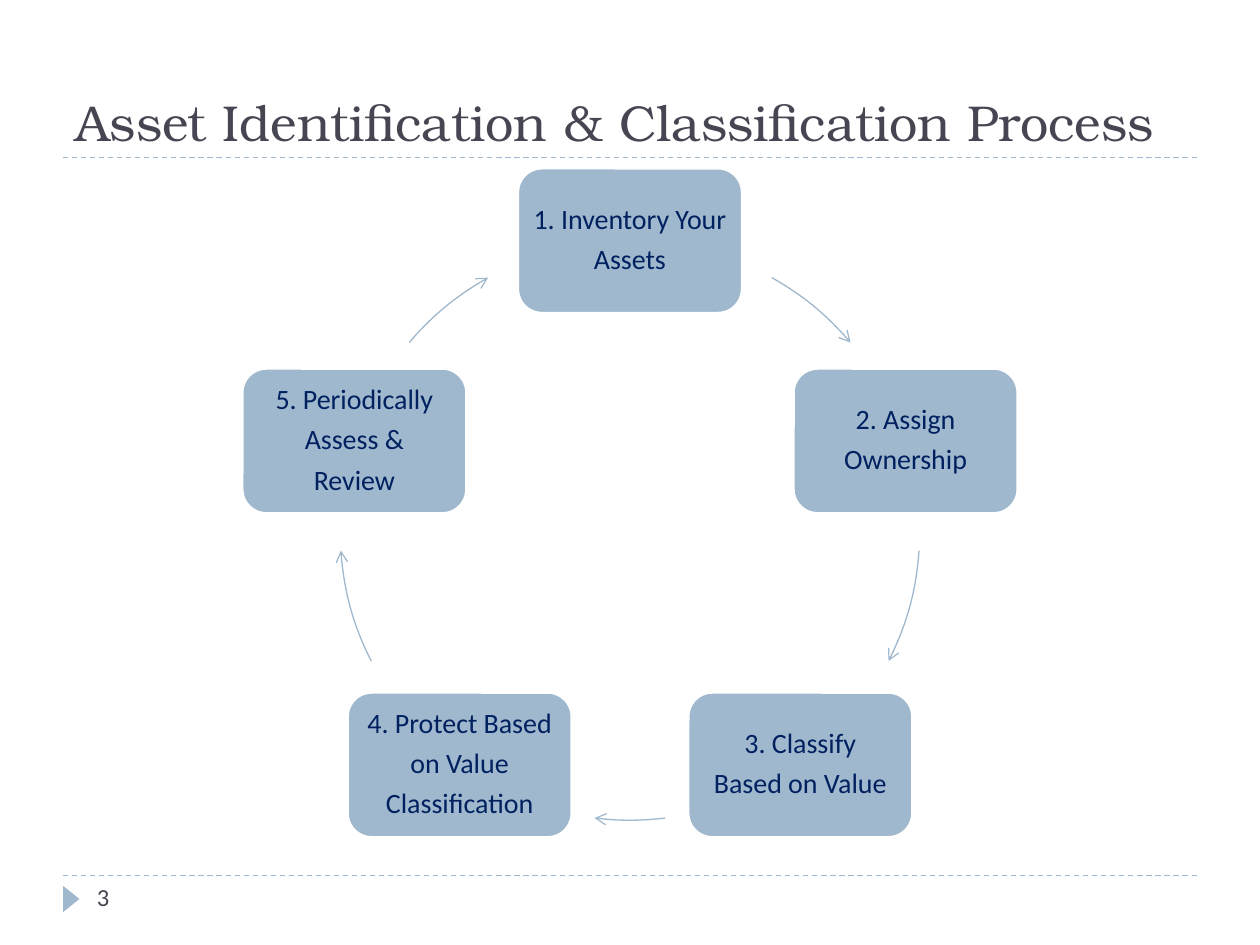
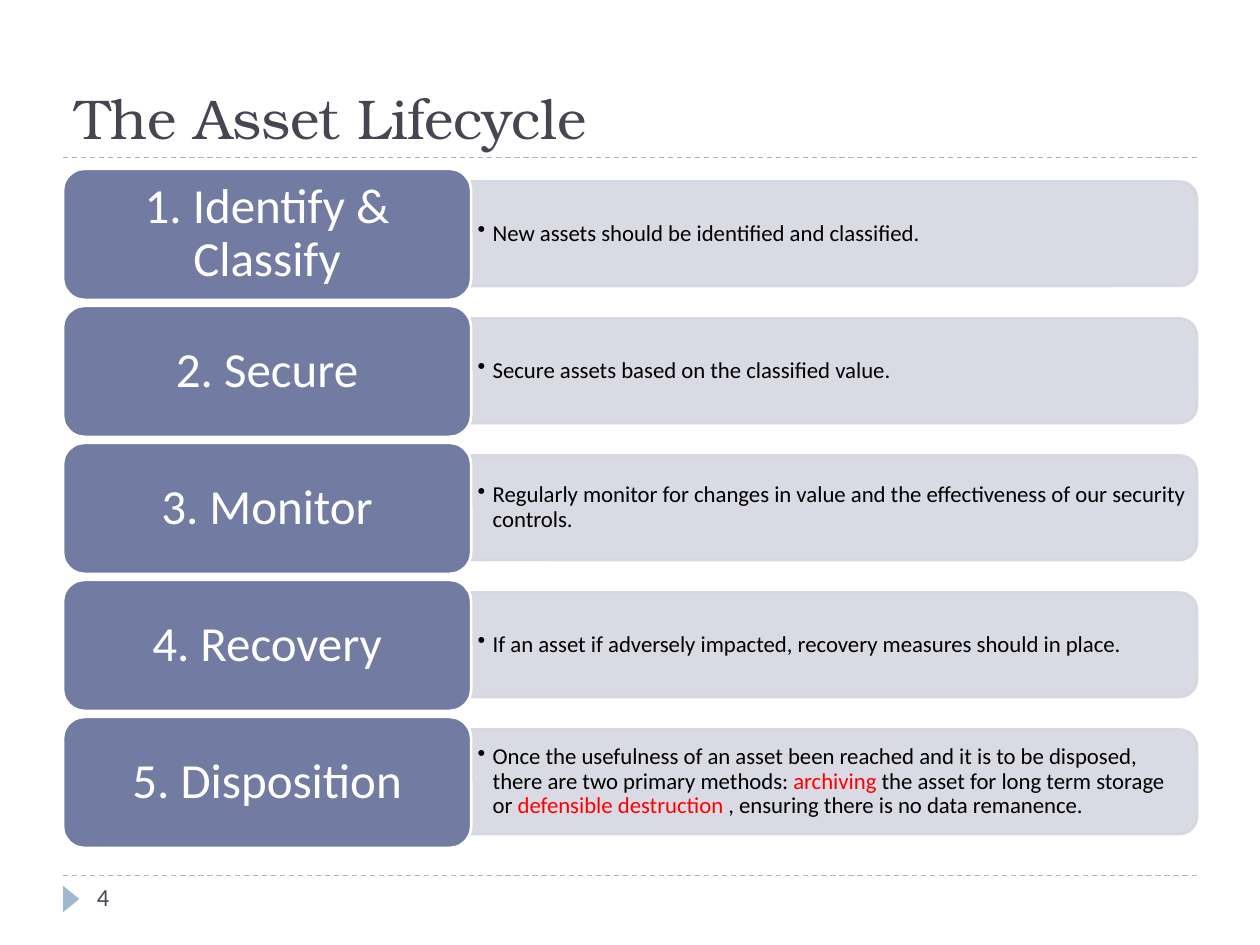
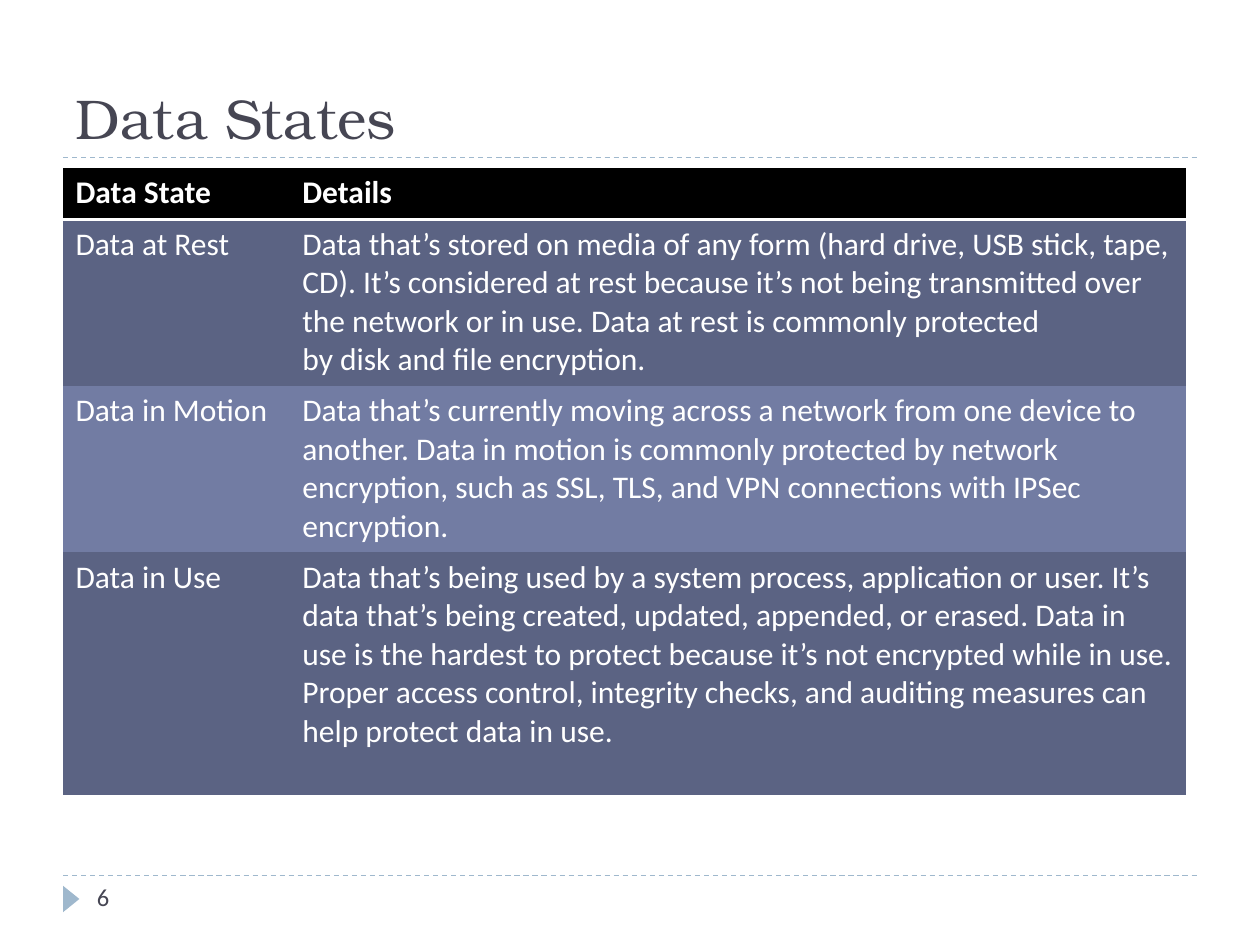
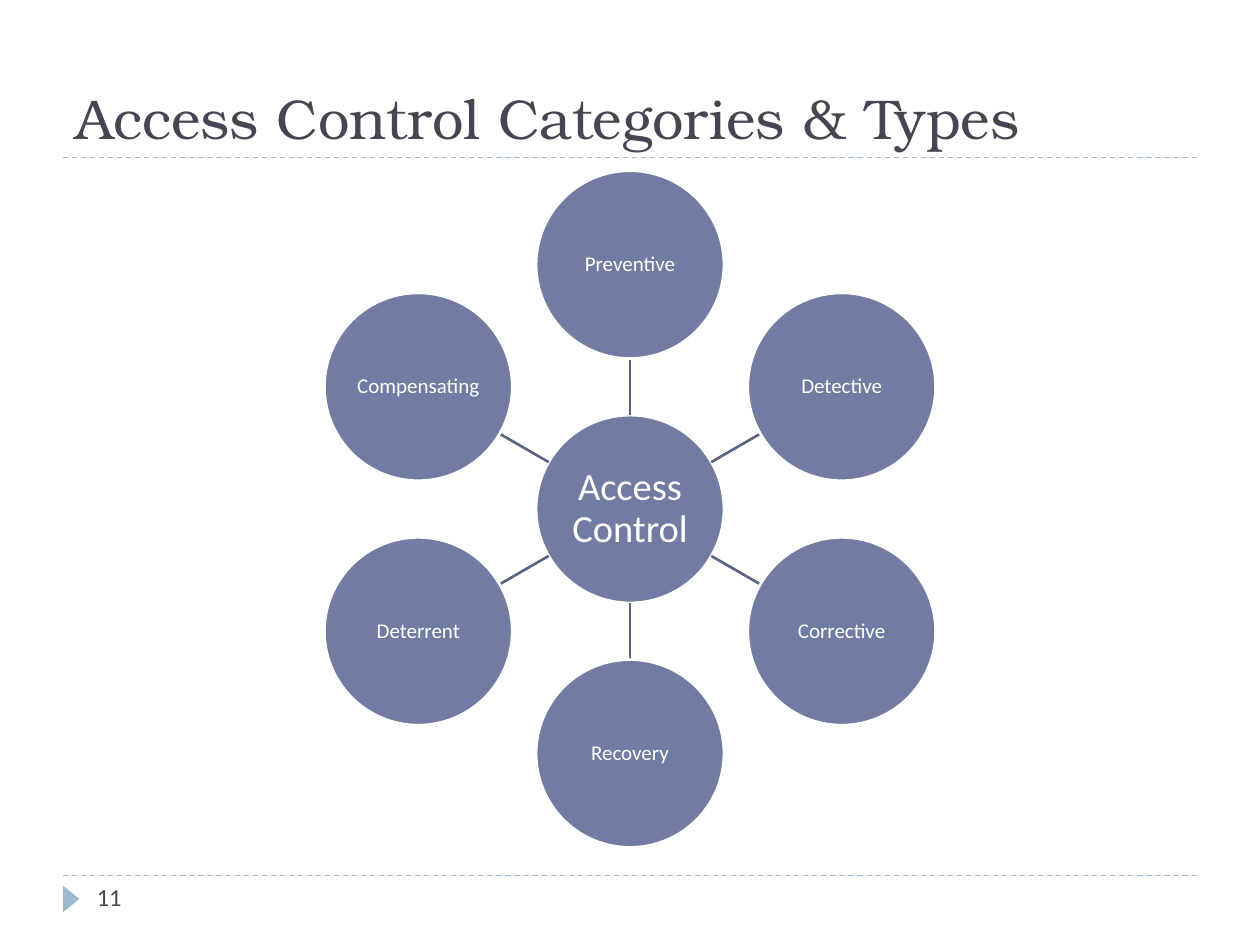
import math

import lxml.etree
import pptx
import pptx.dml.color
import pptx.enum.dml
import pptx.enum.shapes
import pptx.enum.text
import pptx.oxml.ns
import pptx.util

Inches = pptx.util.Inches
Pt = pptx.util.Pt
Shape = pptx.enum.shapes.MSO_SHAPE
Align = pptx.enum.text.PP_ALIGN
Anchor = pptx.enum.text.MSO_ANCHOR
qn = pptx.oxml.ns.qn

INK, NAVY, BLACK, WHITE, RED = "464653", "002060", "000000", "FFFFFF", "FF0000"
SKY, SLATE, DEEP, MIST = "9FB8CD", "727CA3", "5B6383", "D5D7E0"
BODY, HEADING = "Calibri", "TeX Gyre Bonum"
NO_GRID = "{2D5ABB26-0587-4C30-8999-92F81FD0307C}"


def rgb(code):
    return pptx.dml.color.RGBColor.from_string(code)


def add_xml(parent, tag, **attributes):
    return lxml.etree.SubElement(parent, qn(tag), attributes)


def on_circle(center, radius, degrees):
    angle = math.radians(degrees)
    return center[0] + radius * math.sin(angle), center[1] - radius * math.cos(angle)


class Deck:
    """Hold the shared style and the current slide, and draw elements on it."""

    def __init__(self):
        self.show = pptx.Presentation()
        self.show.slide_width, self.show.slide_height = Inches(10), Inches(7.5)
        self.layout = self.show.slide_layouts[5]
        self.slide = None

    def new_slide(self, heading, number, size=32):
        self.slide = self.show.slides.add_slide(self.layout)
        if len(self.show.slides) == 1:
            self.furnish_layout()
        title = self.slide.shapes.title
        title.left, title.top = Inches(0.5), Inches(0.17)
        title.width, title.height = Inches(9), Inches(1.08)
        self.set_text(title.text_frame, [[(heading, INK)]], size, font=HEADING,
                      align=Align.LEFT, anchor=Anchor.BOTTOM, inset=(0.1, 0.05))
        self.text((0.67, 6.95, 2.17, 0.4), [[(str(number), INK)]], 14,
                  anchor=Anchor.TOP, inset=(0.1, 0.05))

    def furnish_layout(self):
        rules = [self.line((0.5, y), (9.5, y), SKY, 0.75, dashed=True) for y in (6.95, 1.25)]
        marker = self.shape(Shape.ISOSCELES_TRIANGLE, (0.46, 7.07, 0.21, 0.13), SKY, turn=90)
        for shape_id, part in enumerate(rules + [marker], start=101):
            part.element.xpath(".//p:cNvPr")[0].set("id", str(shape_id))
            self.layout.shapes.element.append(part.element)

    def set_text(self, frame, lines, size, font=BODY, bold=False, align=None,
                 anchor=Anchor.MIDDLE, inset=(0.07, 0.07), leading=None, after=0):
        frame.word_wrap = True
        frame.auto_size = pptx.enum.text.MSO_AUTO_SIZE.NONE
        frame.vertical_anchor = anchor
        frame.margin_left = frame.margin_right = Inches(inset[0])
        frame.margin_top = frame.margin_bottom = Inches(inset[1])
        self.fill_lines(frame, lines, size, font, bold, align, leading, after)

    def fill_lines(self, frame, lines, size, font=BODY, bold=False, align=None,
                   leading=None, after=0):
        for index, line in enumerate(lines):
            paragraph = frame.add_paragraph() if index else frame.paragraphs[0]
            paragraph.alignment = align
            paragraph.line_spacing = leading
            paragraph.space_after = Pt(after)
            for words, color in line:
                run = paragraph.add_run()
                run.text = words
                run.font.name, run.font.size, run.font.bold = font, Pt(size), bold
                run.font.color.rgb = rgb(color)

    def text(self, box, lines, size, **style):
        note = self.slide.shapes.add_textbox(*map(Inches, box))
        self.set_text(note.text_frame, lines, size, **style)
        return note

    def bullet(self, box, runs, size):
        note = self.text(box, [runs], size, inset=(0.05, 0.03), leading=0.9, after=size * 0.15)
        properties = note.text_frame.paragraphs[0]._p.get_or_add_pPr()
        properties.set("marL", str(Inches(0.12)))
        properties.set("indent", str(Inches(-0.12)))
        add_xml(properties, "a:buChar", char="•")

    def shape(self, preset, box, fill=None, outline=None, width=1.5, turn=0):
        item = self.slide.shapes.add_shape(preset, *map(Inches, box))
        item.shadow.inherit = False
        item.rotation = turn
        if fill:
            item.fill.solid()
            item.fill.fore_color.rgb = rgb(fill)
        else:
            item.fill.background()
        if outline:
            item.line.color.rgb = rgb(outline)
            item.line.width = Pt(width)
        else:
            item.line.fill.background()
        return item

    def card(self, preset, box, fill, lines, size, color, inset):
        item = self.shape(preset, box, fill, WHITE)
        self.set_text(item.text_frame, [[(line, color)] for line in lines], size,
                      align=Align.CENTER, inset=inset, leading=0.9, after=size * 0.35)

    def bar(self, box):
        left, top, width, height = box
        upright = (left + (width - height) / 2, top - (width - height) / 2, height, width)
        item = self.shape(Shape.ROUND_2_SAME_RECTANGLE, upright, MIST, MIST, turn=90)
        for color in item.element.spPr.iter(qn("a:srgbClr")):
            add_xml(color, "a:alpha", val="90000")

    def arc_arrow(self, center, radius, start, end):
        box = (center[0] - radius, center[1] - radius, 2 * radius, 2 * radius)
        arc = self.shape(Shape.ARC, box, outline=SKY, width=0.75)
        for index, degrees in enumerate((start, end)):
            arc.adjustments[index] = (degrees - 90) % 360 * 0.6
        add_xml(arc.element.spPr.find(qn("a:ln")), "a:tailEnd", type="arrow")

    def line(self, start, end, color, width, dashed=False):
        rule = self.slide.shapes.add_connector(
            pptx.enum.shapes.MSO_CONNECTOR.STRAIGHT, *map(Inches, start + end))
        rule.line.color.rgb = rgb(color)
        rule.line.width = Pt(width)
        if dashed:
            rule.line.dash_style = pptx.enum.dml.MSO_LINE.DASH
        add_xml(rule.element.spPr, "a:effectLst")
        return rule

    def table(self, corner, columns, heights, rows, fills):
        box = (*corner, sum(columns), sum(heights))
        frame = self.slide.shapes.add_table(len(rows), len(columns), *map(Inches, box))
        grid = frame.table
        grid._tbl.tblPr.find(qn("a:tableStyleId")).text = NO_GRID
        for column, width in zip(grid.columns, columns):
            column.width = Inches(width)
        for r, (row, height, fill) in enumerate(zip(rows, heights, fills)):
            grid.rows[r].height = Inches(height)
            for c, lines in enumerate(row):
                cell = grid.cell(r, c)
                self.fill_lines(cell.text_frame, [[(line, WHITE)] for line in lines], 18,
                                bold=r == 0)
                if r == 0:
                    self.underline(cell)
                cell.fill.solid()
                cell.fill.fore_color.rgb = rgb(fill)

    def underline(self, cell):
        border = add_xml(cell._tc.get_or_add_tcPr(), "a:lnB", w=str(Pt(2)))
        add_xml(add_xml(border, "a:solidFill"), "a:srgbClr", val=WHITE)


def process_slide(deck):
    deck.new_slide("Asset Identification & Classification Process", 3, size=28.8)
    center, radius, width, height = (5, 4.21), 2.3, 1.78, 1.15
    steps = [
        (["1. Inventory Your", "Assets"], (29.3, 49.6)),
        (["2. Assign", "Ownership"], (94, 116.8)),
        (["3. Classify", "Based on Value"], (173, 187)),
        (["4. Protect Based", "on Value", "Classification"], (243.2, 266)),
        (["5. Periodically", "Assess &", "Review"], (310.4, 330.7)),
    ]
    for index, (lines, sweep) in enumerate(steps):
        x, y = on_circle(center, radius, index * 360 / len(steps))
        deck.card(Shape.ROUNDED_RECTANGLE, (x - width / 2, y - height / 2, width, height),
                  SKY, lines, 16, NAVY, (0.04, 0.07))
        deck.arc_arrow(center, radius, *sweep)


def lifecycle_slide(deck):
    deck.new_slide("The Asset Lifecycle", 4)
    stages = [
        ("1. Identify & Classify", [("New assets should be identified and classified.", BLACK)]),
        ("2. Secure", [("Secure assets based on the classified value.", BLACK)]),
        ("3. Monitor", [("Regularly monitor for changes in value and the effectiveness of our "
                         "security controls.", BLACK)]),
        ("4. Recovery", [("If an asset if adversely impacted, recovery measures should in place.",
                          BLACK)]),
        ("5. Disposition", [
            ("Once the usefulness of an asset been reached and it is to be disposed, "
             "there are two primary methods: ", BLACK),
            ("archiving", RED),
            (" the asset for long term storage or ", BLACK),
            ("defensible destruction ", RED),
            (", ensuring there is no data remanence.", BLACK)]),
    ]
    first, last = 1.34, 5.69
    for index, (stage, details) in enumerate(stages):
        top = first + index * (last - first) / (len(stages) - 1)
        deck.bar((3.74, top + 0.1, 5.76, 0.83))
        deck.bullet((3.74, top + 0.14, 5.72, 0.75), details, 13)
        deck.card(Shape.ROUNDED_RECTANGLE, (0.5, top, 3.24, 1.04), SLATE, [stage], 28, WHITE,
                  (0.12, 0.06))


def data_states_slide(deck):
    deck.new_slide("Data States", 6)
    rows = [
        (["Data State"], ["Details"]),
        (["Data at Rest"], [
            "Data that’s stored on media of any form (hard drive, USB stick, tape, CD). It’s "
            "considered at rest because it’s not being transmitted over the network or in use. "
            "Data at rest is commonly protected",
            "by disk and file encryption."]),
        (["Data in Motion"], [
            "Data that’s currently moving across a network from one device to another. Data in "
            "motion is commonly protected by network encryption, such as SSL, TLS, and VPN "
            "connections with IPSec",
            "encryption."]),
        (["Data in Use"], [
            "Data that’s being used by a system process, application or user. It’s data that’s "
            "being created, updated, appended, or erased. Data in use is the hardest to protect "
            "because it’s not encrypted while in use. Proper access control, integrity checks, "
            "and auditing measures can help protect data in use."]),
    ]
    deck.table((0.5, 1.33), (1.8, 7.11), (0.41, 1.32, 1.32, 1.93), rows,
               (BLACK, DEEP, SLATE, DEEP))


def access_control_slide(deck):
    deck.new_slide("Access Control Categories & Types", 11)
    center, orbit, size = (5, 4.04), 1.94, 1.49

    def disc(middle, label, points, inset):
        box = (middle[0] - size / 2, middle[1] - size / 2, size, size)
        deck.card(Shape.OVAL, box, SLATE, [label], points, WHITE, (inset, inset))

    disc(center, "Access Control", 22, 0.02)
    types = ["Preventive", "Detective", "Corrective", "Recovery", "Deterrent", "Compensating"]
    for index, label in enumerate(types):
        angle = index * 360 / len(types)
        deck.line(on_circle(center, size / 2, angle),
                  on_circle(center, orbit - size / 2, angle), DEEP, 1.5)
        disc(on_circle(center, orbit, angle), label, 12, 0.01)


def main():
    deck = Deck()
    process_slide(deck)
    lifecycle_slide(deck)
    data_states_slide(deck)
    access_control_slide(deck)
    deck.show.save("out.pptx")


if __name__ == "__main__":
    main()
